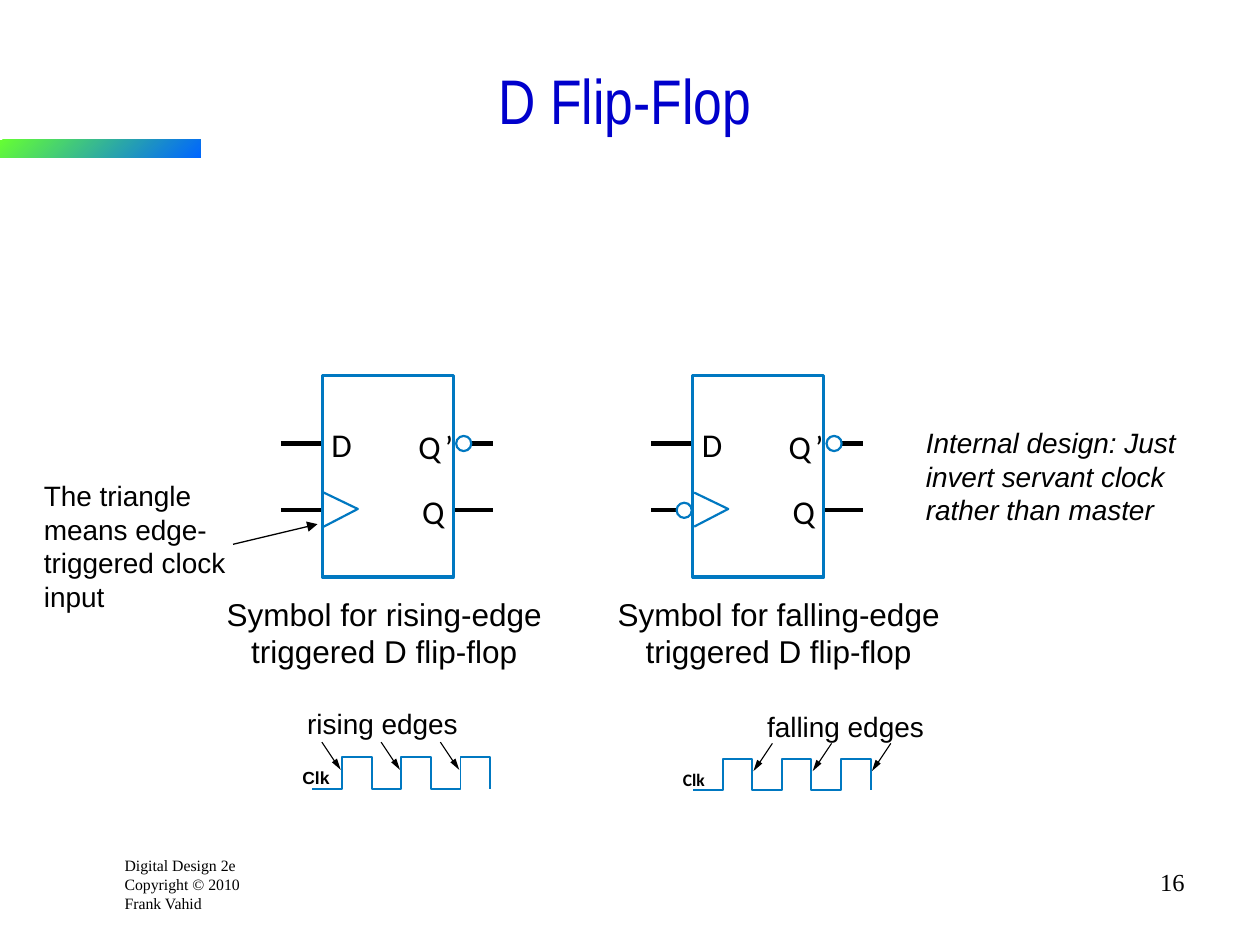
from lxml import etree
from pptx import Presentation
from pptx.dml.color import RGBColor
from pptx.enum.shapes import MSO_CONNECTOR, MSO_SHAPE
from pptx.enum.text import MSO_ANCHOR, PP_ALIGN
from pptx.oxml.ns import qn
from pptx.util import Inches, Pt

LEFT, CENTER, RIGHT = PP_ALIGN.LEFT, PP_ALIGN.CENTER, PP_ALIGN.RIGHT
TOP, MIDDLE = MSO_ANCHOR.TOP, MSO_ANCHOR.MIDDLE
RECTANGLE, OVAL = MSO_SHAPE.RECTANGLE, MSO_SHAPE.OVAL
STRAIGHT = MSO_CONNECTOR.STRAIGHT

COLORS = {
    "text": "000000",
    "title": "0000CC",
    "outline": "0078C1",
    "bubble": "FFFFFF",
    "bar_start": "66FF33",
    "bar_end": "0066FF",
}


def rgb(name):
    return RGBColor.from_string(COLORS[name])


def add_text(slide, box, text, size, font="Arial", color="text", align=LEFT,
             anchor=TOP, wrap=True, inset=True, bold=False, italic=False):
    textbox = slide.shapes.add_textbox(*map(Inches, box))
    frame = textbox.text_frame
    frame.word_wrap = wrap
    frame.vertical_anchor = anchor
    if not inset:
        frame.margin_left = frame.margin_right = 0
        frame.margin_top = frame.margin_bottom = 0
    frame.text = text
    for paragraph in frame.paragraphs:
        paragraph.alignment = align
        for run in paragraph.runs:
            run.font.name = font
            run.font.size = Pt(size)
            run.font.bold = bold
            run.font.italic = italic
            run.font.color.rgb = rgb(color)


def add_line(slide, start, end, width, arrow=False):
    line = slide.shapes.add_connector(STRAIGHT, *map(Inches, (*start, *end)))
    line.line.color.rgb = rgb("text")
    line.line.width = Pt(width)
    properties = line._element.spPr
    if arrow:
        etree.SubElement(properties.find(qn("a:ln")), qn("a:tailEnd"), type="triangle")
    etree.SubElement(properties, qn("a:effectLst"))


def style_shape(shape, fill=None, line=None, width=1.25):
    shape.shadow.inherit = False
    if fill:
        shape.fill.solid()
        shape.fill.fore_color.rgb = rgb(fill)
    else:
        shape.fill.background()
    if line:
        shape.line.color.rgb = rgb(line)
        shape.line.width = Pt(width)
    else:
        shape.line.fill.background()


def add_path(slide, points, close=False, **style):
    corners = [(Inches(x), Inches(y)) for x, y in points]
    builder = slide.shapes.build_freeform(*corners[0])
    builder.add_line_segments(corners[1:], close=close)
    style_shape(builder.convert_to_shape(), **style)


def add_bubble(slide, left, top):
    bubble = slide.shapes.add_shape(OVAL, *map(Inches, (left, top, 0.12, 0.12)))
    style_shape(bubble, fill="bubble", line="outline")


def add_frame(slide):
    """Title, gradient bar, footer and page number."""
    add_text(slide, (0.89, 6.74, 1.12, 0.55),
             "Digital Design 2e\nCopyright © 2010\nFrank Vahid", 9, "Times New Roman")
    bar = slide.shapes.add_shape(RECTANGLE, *map(Inches, (0, 1.11, 1.59, 0.14)))
    style_shape(bar)
    bar.fill.gradient()
    bar.fill.gradient_angle = 315
    for stop, color in zip(bar.fill.gradient_stops, ("bar_start", "bar_end")):
        stop.color.rgb = rgb(color)
    add_text(slide, (7.42, 6.83, 2.08, 0.5), "16", 14, "Times New Roman", align=RIGHT)
    add_text(slide, (0.25, 0.33, 9.42, 0.92), "D Flip-Flop", 36, "Arial Narrow",
             "title", CENTER, MIDDLE)


def add_flip_flop(slide, left, top, inverted_clock=False):
    """Flip-flop symbol whose body has its corner at left, top."""
    width, height = 1.04, 1.6
    right = left + width
    upper_pin, lower_pin = top + 0.54, top + 1.07

    # Pin labels
    for label, dx, dy in (("D", 0.07, 0.39), ("Q", 0.76, 0.4),
                          ("’", 0.97, 0.4), ("Q", 0.79, 0.92)):
        add_text(slide, (left + dx, top + dy, 0.25, 0.32), label, 19, "Calibri",
                 wrap=False, inset=False)

    # Pins
    clock_end = left - 0.13 if inverted_clock else left
    for start, end, y in ((left - 0.33, left, upper_pin),
                          (left - 0.33, clock_end, lower_pin),
                          (right + 0.14, right + 0.31, upper_pin),
                          (right, right + 0.31, lower_pin)):
        add_line(slide, (start, y), (end, y), 2.38)

    # Body, clock triangle and inversion bubbles
    body = slide.shapes.add_shape(RECTANGLE, *map(Inches, (left, top, width, height)))
    style_shape(body, line="outline", width=1.75)
    add_path(slide, [(left + 0.01, top + 1.2), (left + 0.28, top + 1.06),
                     (left + 0.01, top + 0.93)], line="outline")
    add_bubble(slide, right + 0.02, top + 0.48)
    if inverted_clock:
        add_bubble(slide, left - 0.13, top + 1.01)


def add_clock(slide, left, top, caption_box, caption, font, falling=False):
    """Clock wave with an arrow at each rising or falling edge."""
    step, height, half_periods = 0.235, 0.25, 6
    first_edge, side = (2, 1) if falling else (1, -1)

    # Arrows
    for edge in range(first_edge, half_periods + 1, 2):
        tip_x, tip_y = left + edge * step + side * 0.01, top + 0.1
        add_line(slide, (tip_x + side * 0.15, tip_y - 0.22),
                 (tip_x + side * 0.05, tip_y - 0.07), 0.62)
        add_path(slide, [(tip_x, tip_y), (tip_x + side * 0.03, tip_y - 0.09),
                         (tip_x + side * 0.07, tip_y - 0.06)], close=True, fill="text")

    # Wave
    levels = (top + height, top)
    wave = [(left, levels[0])]
    for edge in range(1, half_periods + 1):
        x = left + edge * step
        wave += [(x, levels[(edge - 1) % 2]), (x, levels[edge % 2])]
    add_path(slide, wave, line="outline", width=1.13)

    # Labels
    add_text(slide, (left - 0.08, top + 0.08, 0.3, 0.17), "Clk", 10, font,
             wrap=False, inset=False, bold=True)
    add_text(slide, caption_box, caption, 16)


def add_notes(slide):
    """Captions under the symbols and remarks beside them."""
    for left, edge in ((1.55, "rising"), (4.68, "falling")):
        add_text(slide, (left, 4.67, 3, 0.7),
                 f"Symbol for {edge}-edge\ntriggered D flip-flop", 18, align=CENTER)
    add_text(slide, (7.25, 3.33, 2.4, 0.9),
             "Internal design: Just invert servant clock rather than master", 16,
             italic=True)
    add_text(slide, (0.25, 3.75, 2, 1.17),
             "The triangle means edge-triggered clock input", 16)
    add_line(slide, (1.85, 4.32), (2.52, 4.16), 0.75, arrow=True)


def main():
    presentation = Presentation()
    presentation.slide_width, presentation.slide_height = Inches(10), Inches(7.5)
    slide = presentation.slides.add_slide(presentation.slide_layouts[6])
    add_frame(slide)
    add_flip_flop(slide, 2.56, 2.98)
    add_flip_flop(slide, 5.5, 2.98, inverted_clock=True)
    add_clock(slide, 2.48, 6.01, (2.34, 5.56, 1.6, 0.37), "rising edges", "Arial")
    add_clock(slide, 5.5, 6.02, (5.99, 5.58, 1.6, 0.37), "falling edges", "Calibri",
              falling=True)
    add_notes(slide)
    presentation.save("out.pptx")


if __name__ == "__main__":
    main()
